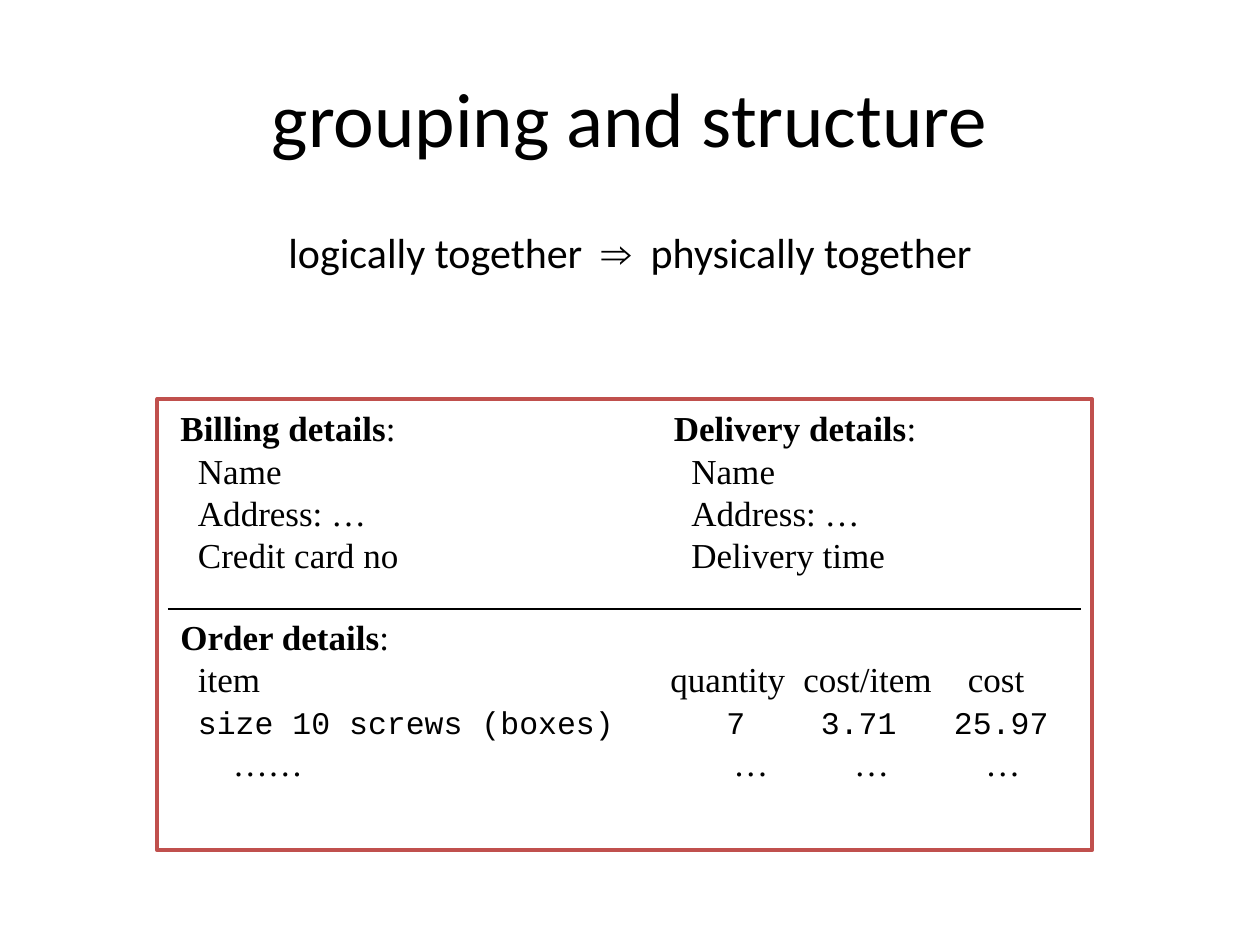
import pptx
import pptx.util
import pptx.dml.color
import pptx.enum.shapes
import pptx.enum.text
from lxml import etree
from pptx.oxml.ns import qn

Pt = pptx.util.Pt
ALIGN = pptx.enum.text.PP_ALIGN

# Content
TITLE = "grouping and structure"
CLAIM = [("logically together  ", {}), ("⇒", {"font": "Arial"}),
         ("  physically together", {})]
PANELS = [
    (96, "Billing details", ["Name", "Address: …", "Credit card no"]),
    (378, "Delivery details", ["Name", "Address: …", "Delivery time"]),
]
ORDER = "Order details"
MONO = {"font": "Courier New", "size": 18}
# Each row: cell texts, their tab stops, font settings
ROWS = [
    (["item", "quantity", "cost/item", "cost"], [10, 280, 356, 450], {}),
    (["size 10 screws (boxes)", "7", "3.71", "25.97"],
     [10, 312, 366, 442], MONO),
    (["……", "…", "…", "…"], [30, 316, 385, 460], {}),
]
COLORS = {"ink": "000000", "paper": "FFFFFF", "frame": "C0504D"}
SERIF = {"font": "Times New Roman", "size": 20}
INDENT = 10


def color(name):
    return pptx.dml.color.RGBColor.from_string(COLORS[name])


def write(para, text, font="Calibri", size=24, bold=False):
    run = para.add_run()
    run.text = text
    run.font.name = font
    run.font.size = Pt(size)
    run.font.bold = bold
    run.font.color.rgb = color("ink")


def place(shape, left, top, width, height):
    shape.left, shape.top = Pt(left), Pt(top)
    shape.width, shape.height = Pt(width), Pt(height)


def add_box(slide, left, top, width, height, head):
    """Add a text box that opens with a bold heading and a colon."""
    box = slide.shapes.add_textbox(Pt(left), Pt(top), Pt(width), Pt(height))
    frame = box.text_frame
    frame.word_wrap = True
    write(frame.paragraphs[0], head, bold=True, **SERIF)
    write(frame.paragraphs[0], ":", **SERIF)
    return frame


def set_tabs(para, stops):
    tabs = etree.SubElement(para._p.get_or_add_pPr(), qn("a:tabLst"))
    for stop in stops:
        etree.SubElement(tabs, qn("a:tab"), pos=str(Pt(stop)), algn="l")


def main():
    deck = pptx.Presentation()
    deck.slide_width, deck.slide_height = Pt(720), Pt(540)
    slide = deck.slides.add_slide(deck.slide_layouts[1])

    # Title
    title = slide.shapes.title
    place(title, 36, 21.6, 648, 90)
    para = title.text_frame.paragraphs[0]
    para.alignment = ALIGN.CENTER
    write(para, TITLE, size=44)

    # Claim, as a centred line without a bullet
    body = slide.placeholders[1]
    place(body, 36, 126, 648, 356.4)
    para = body.text_frame.paragraphs[0]
    para.alignment = ALIGN.CENTER
    para.space_before = Pt(6)
    props = para._p.get_or_add_pPr()
    props.set("marL", "0")
    props.set("indent", "0")
    etree.SubElement(props, qn("a:buNone"))
    for text, form in CLAIM:
        write(para, text, **form)

    # Frame of the form
    form = slide.shapes.add_shape(
        pptx.enum.shapes.MSO_SHAPE.RECTANGLE,
        Pt(90), Pt(228), Pt(534), Pt(258))
    form.shadow.inherit = False
    form.fill.solid()
    form.fill.fore_color.rgb = color("paper")
    form.line.color.rgb = color("frame")
    form.line.width = Pt(2.25)

    # Billing and delivery panels
    for left, head, lines in PANELS:
        frame = add_box(slide, left, 229, 229, 104, head)
        for line in lines:
            para = frame.add_paragraph()
            para._p.get_or_add_pPr().set("marL", str(Pt(INDENT)))
            write(para, line, **SERIF)

    # Rule above the order
    rule = slide.shapes.add_connector(
        pptx.enum.shapes.MSO_CONNECTOR.STRAIGHT,
        Pt(96), Pt(348), Pt(618), Pt(348))
    rule.line.color.rgb = color("ink")
    rule.line.width = Pt(1)
    etree.SubElement(rule._element.spPr, qn("a:effectLst"))

    # Order rows, set in columns by tab stops
    frame = add_box(slide, 96, 348, 528, 127, ORDER)
    for cells, stops, look in ROWS:
        para = frame.add_paragraph()
        set_tabs(para, stops)
        for cell in cells:
            write(para, "\t", **SERIF)
            write(para, cell, **{**SERIF, **look})

    deck.save("out.pptx")


if __name__ == "__main__":
    main()
